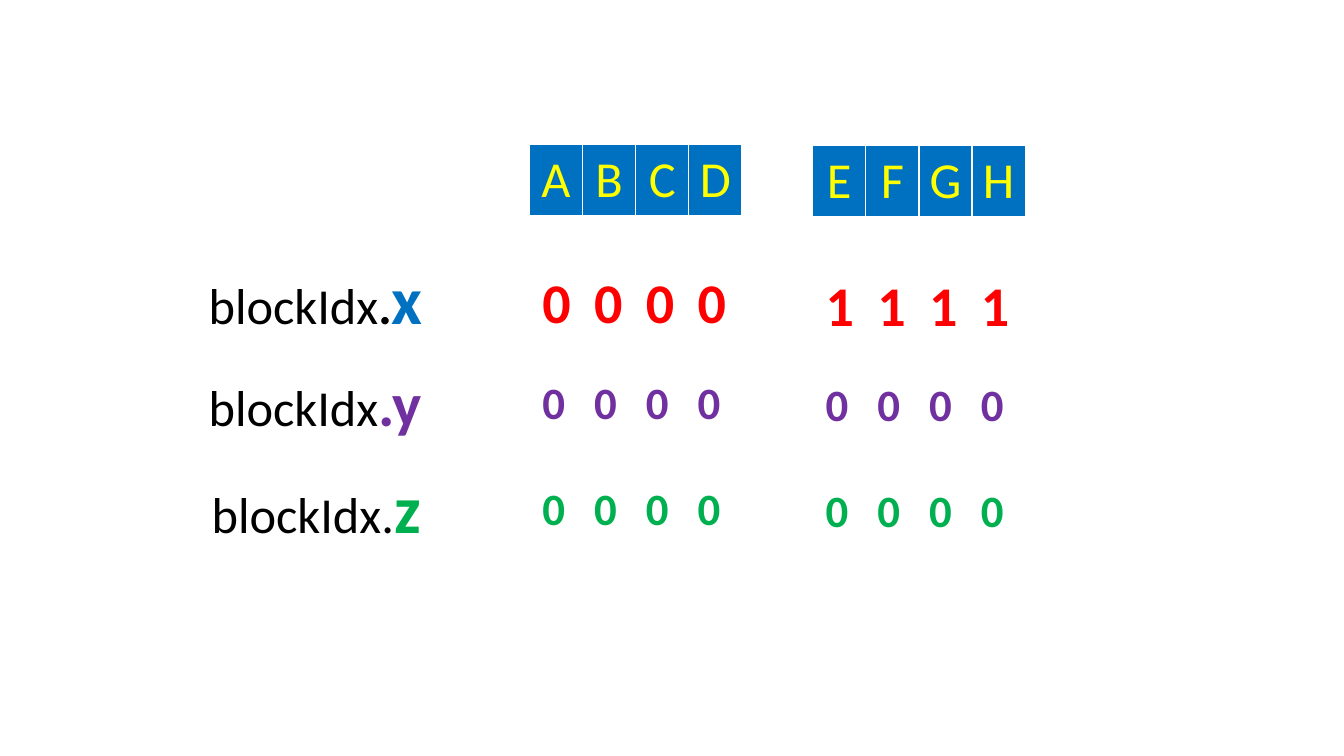
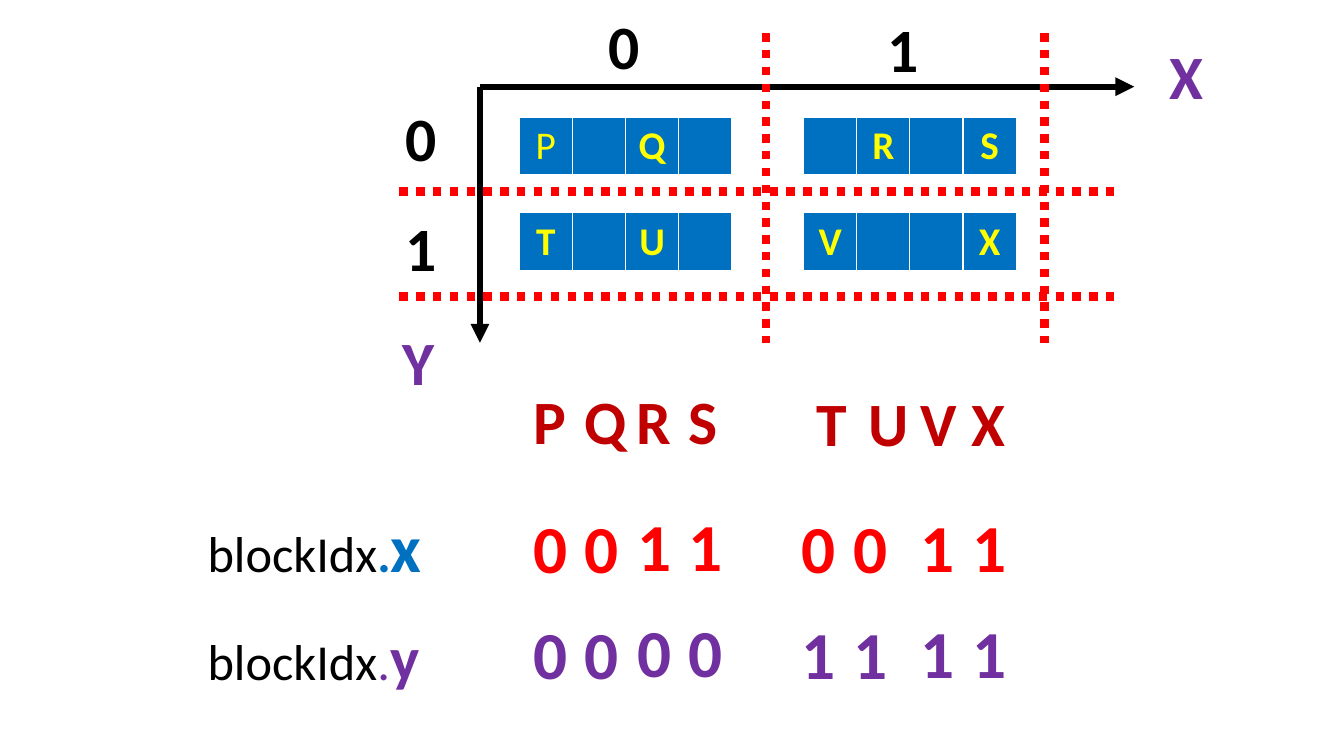
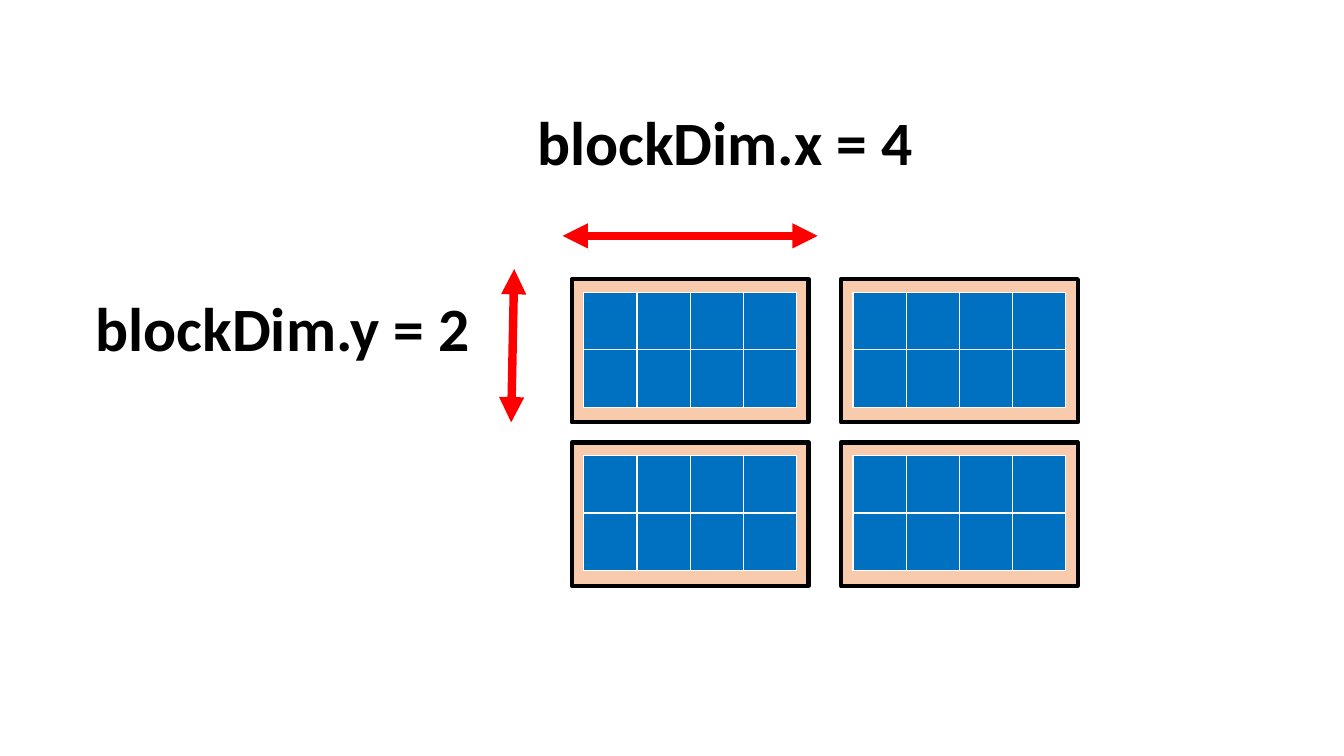
import pptx
import pptx.dml.color
import pptx.enum.dml
import pptx.enum.shapes
import pptx.enum.text
import pptx.oxml.ns
import pptx.oxml.xmlchemy
import pptx.util

FONT = "Calibri"
BLACK, RED, DARK_RED = "000000", "FF0000", "C00000"
BLUE, PURPLE, GREEN = "0070C0", "7030A0", "00B050"
YELLOW, PEACH = "FFFF00", "F8CBAD"

STRIP_WIDTH = 2.11
DIGIT_WIDTH = 0.35
DIGIT_PITCH = 1.54 / 3


def rgb(color):
    return pptx.dml.color.RGBColor.from_string(color)


def inches(*values):
    return [pptx.util.Inches(value) for value in values]


def add_run(paragraph, text, *, size, color=BLACK, bold=True):
    run = paragraph.add_run()
    run.text = text
    run.font.name = FONT
    run.font.size = pptx.util.Pt(size)
    run.font.bold = bold
    run.font.color.rgb = rgb(color)


def add_text_box(slide, left, top, width, height):
    """Add an empty wrapping text box and return its first paragraph."""
    box = slide.shapes.add_textbox(*inches(left, top, width, height))
    box.text_frame.word_wrap = True
    return box.text_frame.paragraphs[0]


def add_label(slide, text, left, top, width, color=BLACK):
    paragraph = add_text_box(slide, left, top, width, 0.84)
    add_run(paragraph, text, size=44, color=color)


def add_index_label(slide, left, top, *parts):
    """Add "blockIdx" followed by parts of (text, format)."""
    paragraph = add_text_box(slide, left, top, 2.91, 0.91)
    add_run(paragraph, "blockIdx", size=36, bold=False)
    for text, text_format in parts:
        add_run(paragraph, text, **text_format)


def add_characters(slide, characters, left, top, size, color):
    """Add one box for each character, evenly spaced."""
    for index, character in enumerate(characters):
        paragraph = add_text_box(
            slide, left + index * DIGIT_PITCH, top, DIGIT_WIDTH, 0.84)
        add_run(paragraph, character, size=size, color=color)


def add_thread_strip(slide, left, top, letters, height=0.57, size=28, plain=""):
    """Add a row of cells; letters in plain are not bold."""
    frame = slide.shapes.add_table(
        1, len(letters), *inches(left, top, STRIP_WIDTH, height))
    table = frame.table
    table.first_row = False
    table.horz_banding = False
    for cell, letter in zip(table.iter_cells(), letters):
        cell.fill.solid()
        cell.fill.fore_color.rgb = rgb(BLUE)
        cell.vertical_anchor = pptx.enum.text.MSO_ANCHOR.MIDDLE
        if letter.strip():
            paragraph = cell.text_frame.paragraphs[0]
            paragraph.alignment = pptx.enum.text.PP_ALIGN.CENTER
            add_run(paragraph, letter, size=size, color=YELLOW,
                    bold=letter not in plain)


def add_block_frame(slide, left, top):
    shape = slide.shapes.add_shape(
        pptx.enum.shapes.MSO_SHAPE.RECTANGLE, *inches(left, top, 2.35, 1.42))
    shape.shadow.inherit = False
    shape.fill.solid()
    shape.fill.fore_color.rgb = rgb(PEACH)
    shape.line.color.rgb = rgb(BLACK)
    shape.line.width = pptx.util.Pt(3)


def add_line(slide, start, end, color, width, dotted=False, arrows=()):
    """Draw a line; arrows names the ends (headEnd, tailEnd) with a triangle."""
    connector = slide.shapes.add_connector(
        pptx.enum.shapes.MSO_CONNECTOR.STRAIGHT, *inches(*start, *end))
    connector.line.color.rgb = rgb(color)
    connector.line.width = pptx.util.Pt(width)
    if dotted:
        connector.line.dash_style = pptx.enum.dml.MSO_LINE.ROUND_DOT
    properties = connector._element.find(pptx.oxml.ns.qn("p:spPr"))
    line = properties.find(pptx.oxml.ns.qn("a:ln"))
    for arrow in arrows:
        triangle = pptx.oxml.xmlchemy.OxmlElement(f"a:{arrow}")
        triangle.set("type", "triangle")
        line.append(triangle)
    properties.append(pptx.oxml.xmlchemy.OxmlElement("a:effectLst"))


def build_one_dimensional_slide(slide):
    add_thread_strip(slide, 5.25, 1.43, "ABCD", 0.7, 36, plain="ABCD")
    add_thread_strip(slide, 8.06, 1.44, "EFGH", 0.7, 36, plain="EFGH")

    add_index_label(slide, 1.97, 2.5, (".", dict(size=36)),
                    ("x", dict(size=48, color=BLUE)))
    add_index_label(slide, 1.97, 3.57, (".y", dict(size=44, color=PURPLE)))
    add_index_label(slide, 2, 4.58, (".", dict(size=36, bold=False)),
                    ("z", dict(size=48, color=GREEN)))

    index_rows = [
        ("0000", "1111", 2.61, 40, RED),
        ("0000", "0000", 3.67, 32, PURPLE),
        ("0000", "0000", 4.72, 32, GREEN),
    ]
    for first, second, top, size, color in index_rows:
        add_characters(slide, first, 5.28, top, size, color)
        add_characters(slide, second, 8.09, top + 0.02, size, color)


def build_two_dimensional_slide(slide):
    for top, letters in ((1.16, ("P Q ", " R S")), (2.11, ("T U ", "V  X"))):
        for left, block_letters in zip((5.15, 7.97), letters):
            add_thread_strip(slide, left, top, block_letters, plain="P")

    add_characters(slide, "PQRS", 5.19, 3.75, 44, DARK_RED)
    add_characters(slide, "TUVX", 8, 3.77, 44, DARK_RED)

    add_index_label(slide, 1.96, 4.96, (".", dict(size=36, color=BLUE)),
                    ("x", dict(size=48, color=BLUE)))
    add_index_label(slide, 1.96, 6.09,
                    (".", dict(size=36, color=PURPLE, bold=False)),
                    ("y", dict(size=44, color=PURPLE)))
    index_pairs = [
        (5.19, 4.97, "00", "00"),
        (6.22, 4.95, "11", "00"),
        (7.85, 4.97, "00", "11"),
        (9.03, 4.96, "11", "11"),
    ]
    for left, top, x_indices, y_indices in index_pairs:
        add_characters(slide, x_indices, left, top, 48, RED)
        add_characters(slide, y_indices, left, top + 1.06, 48, PURPLE)

    origin = (4.76, 0.86)
    for axis_end in ((11.25, 0.86), (4.76, 3.4)):
        add_line(slide, origin, axis_end, BLACK, 4.5, arrows=["tailEnd"])
    for x in (7.6, 10.36):
        add_line(slide, (x, 0.33), (x, 3.4), RED, 6, dotted=True)
    for y in (1.9, 2.94):
        add_line(slide, (3.96, y), (11.05, y), RED, 6, dotted=True)

    add_label(slide, "X", 11.5, 0.33, 1.02, PURPLE)
    add_label(slide, "Y", 3.89, 3.16, 1.02, PURPLE)
    add_label(slide, "0", 5.94, 0.03, 0.78)
    add_label(slide, "1", 8.7, 0.06, 0.78)
    add_label(slide, "0", 3.92, 0.94, 0.78)
    add_label(slide, "1", 3.92, 2.03, 0.78)


def build_block_dimension_slide(slide):
    for top in (2.77, 4.39):
        for left in (5.67, 8.34):
            add_block_frame(slide, left, top)
            for row in range(2):
                add_thread_strip(
                    slide, left + 0.12, top + 0.13 + row * 0.57, " " * 4)

    both_ends = ["headEnd", "tailEnd"]
    add_line(slide, (5.58, 2.34), (8.11, 2.34), RED, 6, arrows=both_ends)
    add_line(slide, (5.1, 2.67), (5.07, 4.19), RED, 6, arrows=both_ends)
    add_label(slide, "blockDim.x = 4", 5.23, 0.98, 4.11)
    add_label(slide, "blockDim.y = 2", 0.85, 2.83, 3.99)


def main():
    presentation = pptx.Presentation()
    presentation.slide_width, presentation.slide_height = inches(13.33, 7.5)
    blank_layout = presentation.slide_layouts[6]
    for build in (build_one_dimensional_slide, build_two_dimensional_slide,
                  build_block_dimension_slide):
        build(presentation.slides.add_slide(blank_layout))
    presentation.save("out.pptx")


if __name__ == "__main__":
    main()
